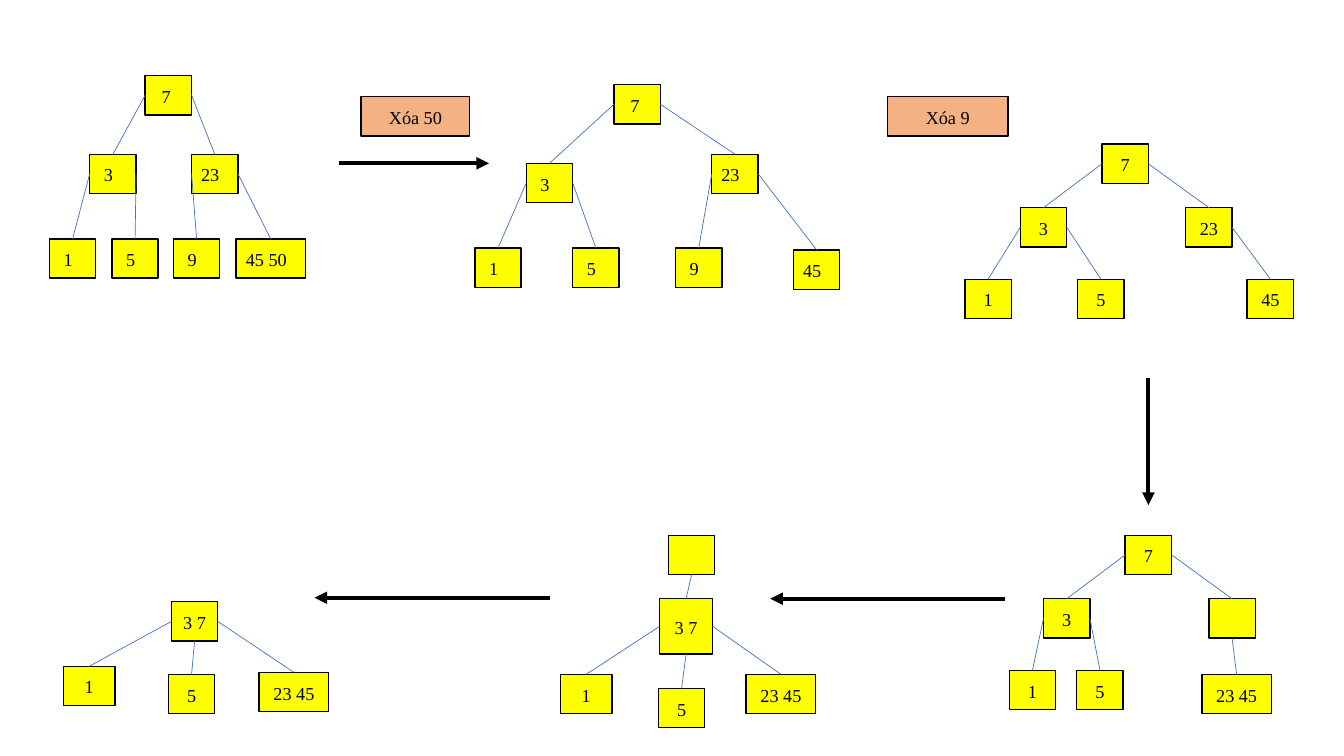
import dataclasses

import lxml.etree
import pptx
import pptx.dml.color
import pptx.enum.shapes
import pptx.enum.text
import pptx.oxml.ns
import pptx.util

RGBColor = pptx.dml.color.RGBColor
KEY_YELLOW = RGBColor(0xFF, 0xFF, 0x00)
STEP_ORANGE = RGBColor(0xF4, 0xB1, 0x83)
EDGE_BLUE = RGBColor(0x44, 0x72, 0xC4)
BLACK = RGBColor(0x00, 0x00, 0x00)
FONT = "Times New Roman"

SLIDE_W = pptx.util.Inches(13.33)
SLIDE_H = pptx.util.Inches(7.5)
CELL = SLIDE_H / 75  # the slide is a grid of square cells, 75 rows high
BOX_H = 3.9
KEY_W, PAIR_W = 4.6, 6.9
INSET = 1.0
TOP, LEFT, BOTTOM, RIGHT = range(4)  # connection sites of a rectangle


@dataclasses.dataclass(frozen=True)
class Node:
    """A tree node: its keys, grid column and row, children and size."""
    keys: str
    col: float
    row: float
    children: tuple = ()
    width: float = KEY_W
    height: float = BOX_H

    @property
    def centre(self) -> float:
        """Column of the node's middle."""
        return self.col + self.width / 2


@dataclasses.dataclass(frozen=True)
class Tree:
    """A tree and how far its keys sit left of the box centre."""
    root: Node
    nudge: float = 0


@dataclasses.dataclass(frozen=True)
class Step:
    """An operation label in its own box."""
    label: str
    col: float
    row: float
    width: float


@dataclasses.dataclass(frozen=True)
class Arrow:
    """A thick arrow between two grid points."""
    col: float
    row: float
    end_col: float
    end_row: float


TREES = (
    Tree(Node("7", 14.4, 7.5, (
        Node("3", 8.9, 15.3, (Node("1", 4.9, 23.7), Node("5", 11.1, 23.7))),
        Node("23", 19, 15.3, (Node("9", 17.2, 23.7),
                              Node("45 50", 23.4, 23.7, width=PAIR_W))),
    )), nudge=0.9),
    Tree(Node("7", 60.9, 8.4, (
        Node("3", 52.2, 16.2, (Node("1", 47.1, 24.6), Node("5", 56.8, 24.6))),
        Node("23", 70.6, 15.3, (Node("9", 67, 24.6), Node("45", 78.7, 24.8))),
    )), nudge=0.9),
    Tree(Node("7", 109.3, 14.3, (
        Node("3", 101.2, 20.6, (Node("1", 95.7, 27.7), Node("5", 106.9, 27.7))),
        Node("23", 117.6, 20.6, (Node("45", 123.7, 27.7),)),
    ))),
    Tree(Node("7", 111.6, 53.1, (
        Node("3", 103.5, 59.4, (Node("1", 100.1, 66.5), Node("5", 106.8, 66.5))),
        Node("", 119.9, 59.4, (Node("23 45", 119.2, 66.9, width=PAIR_W),)),
    ))),
    Tree(Node("", 66.3, 53.1, (
        Node("3 7", 65.4, 59.4, (
            Node("1", 55.6, 66.9, width=5.1),
            Node("5", 65.3, 68.3),
            Node("23 45", 74, 66.9, width=PAIR_W),
        ), width=5.3, height=5.5),
    ))),
    Tree(Node("3 7", 17, 59.7, (
        Node("1", 6.3, 66.1, width=5.1),
        Node("5", 16.7, 66.9),
        Node("23 45", 25.7, 66.7, width=PAIR_W),
    ))),
)
STEPS = (Step("Xóa 50", 35.8, 9.6, 10.8), Step("Xóa 9", 88, 9.6, 12))
ARROWS = (
    Arrow(33.6, 16.2, 48.5, 16.2),
    Arrow(113.9, 37.5, 113.9, 50.1),
    Arrow(99.7, 59.4, 76.4, 59.4),
    Arrow(54.5, 59.3, 31.2, 59.3),
)


def cells(count: float) -> int:
    """Turn grid cells into slide units."""
    return pptx.util.Emu(round(count * CELL))


def write(box, text: str, *, size: float = 13, color=BLACK, nudge: float = 0):
    """Write centred text in a box, moved left by nudge cells."""
    frame = box.text_frame
    frame.word_wrap = True
    frame.vertical_anchor = pptx.enum.text.MSO_ANCHOR.MIDDLE
    frame.margin_left, frame.margin_right = cells(INSET - nudge), cells(INSET)
    paragraph = frame.paragraphs[0]
    paragraph.alignment = pptx.enum.text.PP_ALIGN.CENTER
    paragraph.line_spacing = 1.07
    paragraph.space_after = pptx.util.Pt(8)
    run = paragraph.add_run()
    run.text = text
    run.font.name = FONT
    run.font.size = pptx.util.Pt(size)
    run.font.color.rgb = color


def add_box(shapes, col: float, row: float, width: float, height: float, fill):
    """Add a filled rectangle with a thin black outline."""
    box = shapes.add_shape(pptx.enum.shapes.MSO_SHAPE.RECTANGLE,
                           cells(col), cells(row), cells(width), cells(height))
    box.shadow.inherit = False
    box.fill.solid()
    box.fill.fore_color.rgb = fill
    box.line.color.rgb = BLACK
    box.line.width = pptx.util.Pt(1)
    return box


def add_line(shapes, ends: tuple, color, weight: float):
    """Add a straight connector without shadow; ends are grid points."""
    line = shapes.add_connector(pptx.enum.shapes.MSO_CONNECTOR.STRAIGHT,
                                *(cells(end) for end in ends))
    line.line.color.rgb = color
    line.line.width = pptx.util.Pt(weight)
    lxml.etree.SubElement(line._element.spPr, pptx.oxml.ns.qn("a:effectLst"))
    return line


def exit_site(parent: Node, child: Node) -> int:
    """Choose the side of the parent where the edge to the child starts."""
    offset = child.centre - parent.centre
    if abs(offset) < 1:
        return BOTTOM
    return LEFT if offset < 0 else RIGHT


def draw_node(shapes, node: Node, nudge: float, is_root: bool = False):
    """Draw a node, its subtrees and the edges to them; return its box."""
    box = add_box(shapes, node.col, node.row, node.width, node.height, KEY_YELLOW)
    if node.keys:
        write(box, node.keys, nudge=nudge / 2 if is_root else nudge)
    for child in node.children:
        child_box = draw_node(shapes, child, nudge)
        edge = add_line(shapes, (0, 0, 0, 0), EDGE_BLUE, 0.5)
        edge.begin_connect(box, exit_site(node, child))
        edge.end_connect(child_box, TOP)
    return box


def draw_step(shapes, step: Step):
    """Draw the label of an operation."""
    box = add_box(shapes, step.col, step.row, step.width, BOX_H, STEP_ORANGE)
    write(box, step.label)


def draw_arrow(shapes, arrow: Arrow):
    """Draw a thick arrow with a triangular head."""
    line = add_line(shapes, dataclasses.astuple(arrow), BLACK, 3)
    lxml.etree.SubElement(line.line._get_or_add_ln(),
                          pptx.oxml.ns.qn("a:tailEnd"), type="triangle")


def main():
    """Build the slide and save it."""
    deck = pptx.Presentation()
    deck.slide_width, deck.slide_height = SLIDE_W, SLIDE_H
    shapes = deck.slides.add_slide(deck.slide_layouts[6]).shapes
    for tree in TREES:
        draw_node(shapes, tree.root, tree.nudge, is_root=True)
    for step in STEPS:
        draw_step(shapes, step)
    for arrow in ARROWS:
        draw_arrow(shapes, arrow)
    deck.save("out.pptx")


main()
